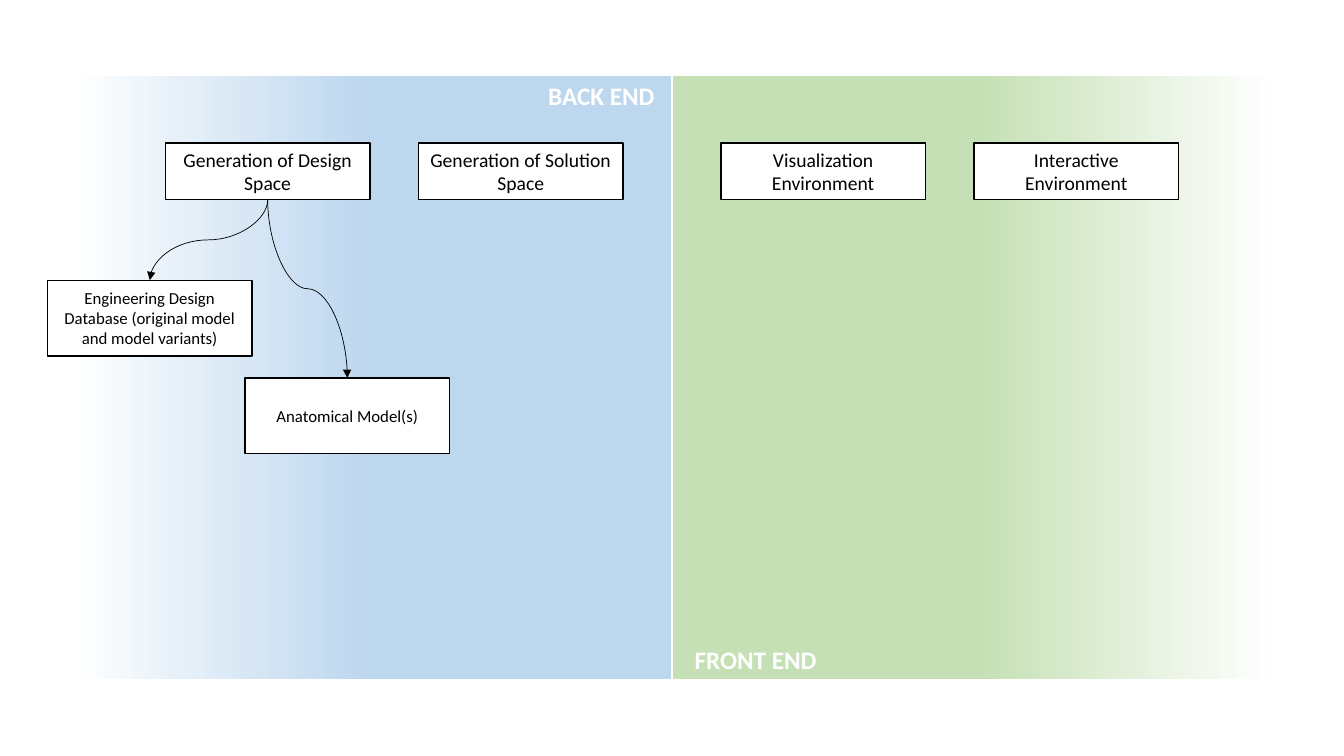
from pptx import Presentation
from pptx.dml.color import RGBColor
from pptx.enum.shapes import MSO_CONNECTOR, MSO_SHAPE
from pptx.enum.text import MSO_ANCHOR, MSO_AUTO_SIZE, PP_ALIGN
from pptx.oxml.ns import qn
from pptx.util import Inches, Pt
from lxml.etree import SubElement

COLORS = {"blue": "BDD7EE", "green": "C5E0B4", "white": "FFFFFF", "black": "000000"}

# Content
PANEL_TOP, PANEL_SIZE = 0.75, 5.99
# left, gradient stops from right to left
PANELS = [
    (0.67, [(0.5, "blue"), (1, "white")]),
    (6.67, [(0, "white"), (0.5, "green")]),
]
# text, left, top, width
HEADINGS = [
    ("BACK END", 5.26, 0.75, 1.41),
    ("FRONT END", 6.67, 6.34, 1.65),
]
BOX_WIDTH = 2.03
STAGE_TOP, STAGE_HEIGHT = 1.42, 0.56
STAGES = [
    ("Generation of Design Space", 1.64),
    ("Generation of Solution Space", 4.15),
    ("Visualization Environment", 7.15),
    ("Interactive Environment", 9.66),
]
# text, left, top: fed by the first stage
SOURCE_HEIGHT = 0.75
SOURCES = [
    ("Engineering Design Database (original model and model variants)", 0.47, 2.78),
    ("Anatomical Model(s)", 2.43, 3.75),
]


def rgb(name):
    return RGBColor.from_string(COLORS[name])


def write(sp, text, size=14, color="black", bold=False, anchor=MSO_ANCHOR.MIDDLE):
    tf = sp.text_frame
    tf.word_wrap = True
    tf.vertical_anchor = anchor
    p = tf.paragraphs[0]
    p.alignment = PP_ALIGN.CENTER
    r = p.add_run()
    r.text = text
    r.font.name, r.font.size, r.font.bold = "Calibri", Pt(size), bold
    r.font.color.rgb = rgb(color)


def add_panel(s, left, stops):
    sp = s.shapes.add_shape(MSO_SHAPE.RECTANGLE, Inches(left), Inches(PANEL_TOP),
                            Inches(PANEL_SIZE), Inches(PANEL_SIZE))
    sp.shadow.inherit = False
    sp.line.fill.background()
    sp.fill.gradient()
    sp.fill.gradient_angle = 180
    for stop, (position, color) in zip(sp.fill.gradient_stops, stops):
        stop.position = position
        stop.color.rgb = rgb(color)


def add_box(s, text, left, top, height, size):
    sp = s.shapes.add_shape(MSO_SHAPE.ROUNDED_RECTANGLE, Inches(left), Inches(top),
                            Inches(BOX_WIDTH), Inches(height))
    sp.adjustments[0] = 0
    sp.shadow.inherit = False
    sp.fill.solid()
    sp.fill.fore_color.rgb = rgb("white")
    sp.line.color.rgb = rgb("black")
    sp.line.width = Pt(1)
    write(sp, text, size)


def add_curve(s, x1, y1, x2, y2):
    # A vertical S-curve is a horizontal one turned about its centre
    cx, cy = (x1 + x2) / 2, (y1 + y2) / 2
    half_w, half_h = (y2 - y1) / 2, abs(x2 - x1) / 2
    turn, side = (270, -1) if x2 > x1 else (90, 1)
    c = s.shapes.add_connector(
        MSO_CONNECTOR.CURVE,
        Inches(cx - side * half_w), Inches(cy - half_h),
        Inches(cx + side * half_w), Inches(cy + half_h))
    c.line.color.rgb = rgb("black")
    c.line.width = Pt(0.5)
    sp_pr = c._element.spPr
    sp_pr.find(qn("a:xfrm")).set("rot", str(turn * 60000))
    SubElement(sp_pr.find(qn("a:ln")), qn("a:tailEnd"), type="triangle")
    SubElement(sp_pr, qn("a:effectLst"))


def main():
    prs = Presentation()
    prs.slide_width, prs.slide_height = Inches(13.33), Inches(7.5)
    s = prs.slides.add_slide(prs.slide_layouts[6])

    # Background halves and their headings
    for left, stops in PANELS:
        add_panel(s, left, stops)
    for text, left, top, width in HEADINGS:
        sp = s.shapes.add_textbox(Inches(left), Inches(top), Inches(width), Inches(0.4))
        write(sp, text, size=18, color="white", bold=True, anchor=MSO_ANCHOR.TOP)
        sp.text_frame.auto_size = MSO_AUTO_SIZE.SHAPE_TO_FIT_TEXT

    # Stages
    for text, left in STAGES:
        add_box(s, text, left, STAGE_TOP, STAGE_HEIGHT, 14)

    # Sources, each reached by a curve from the first stage
    start_x = STAGES[0][1] + BOX_WIDTH / 2
    for text, left, top in SOURCES:
        add_box(s, text, left, top, SOURCE_HEIGHT, 12)
        add_curve(s, start_x, STAGE_TOP + STAGE_HEIGHT, left + BOX_WIDTH / 2, top)

    prs.save("out.pptx")


if __name__ == "__main__":
    main()
